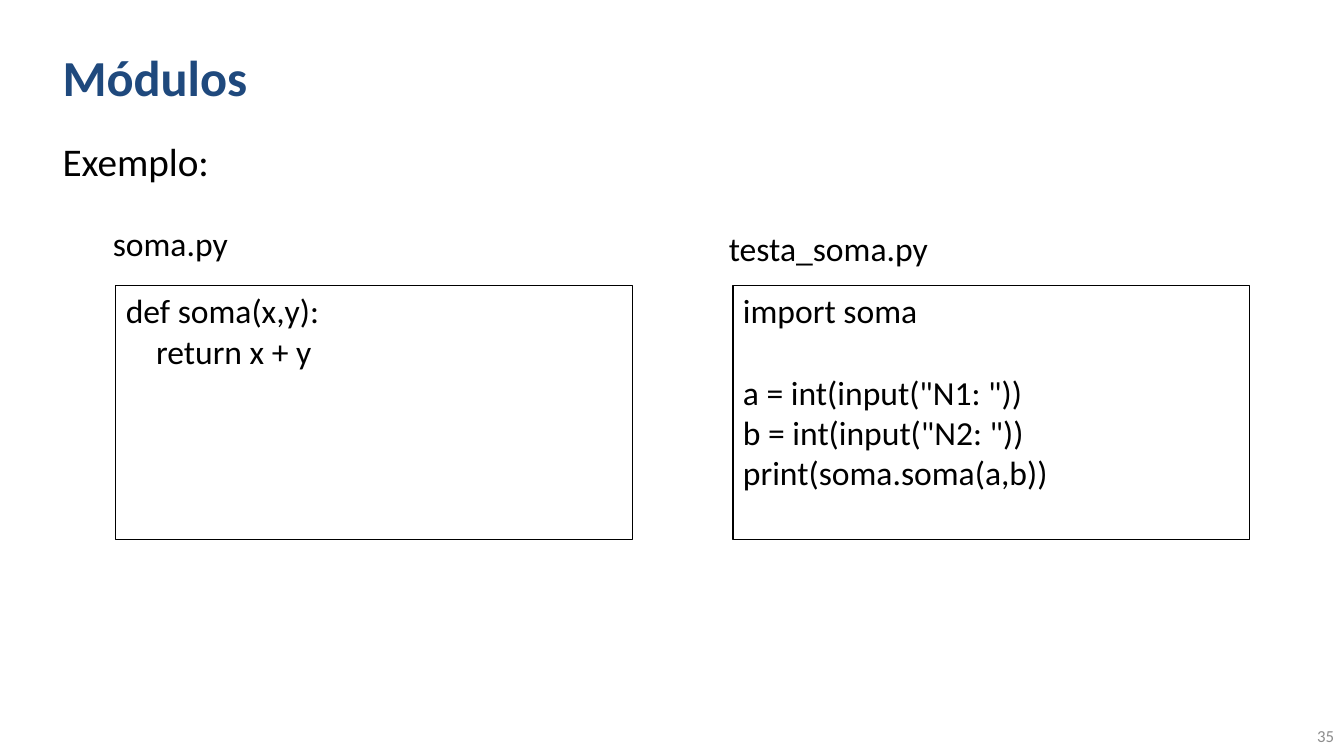
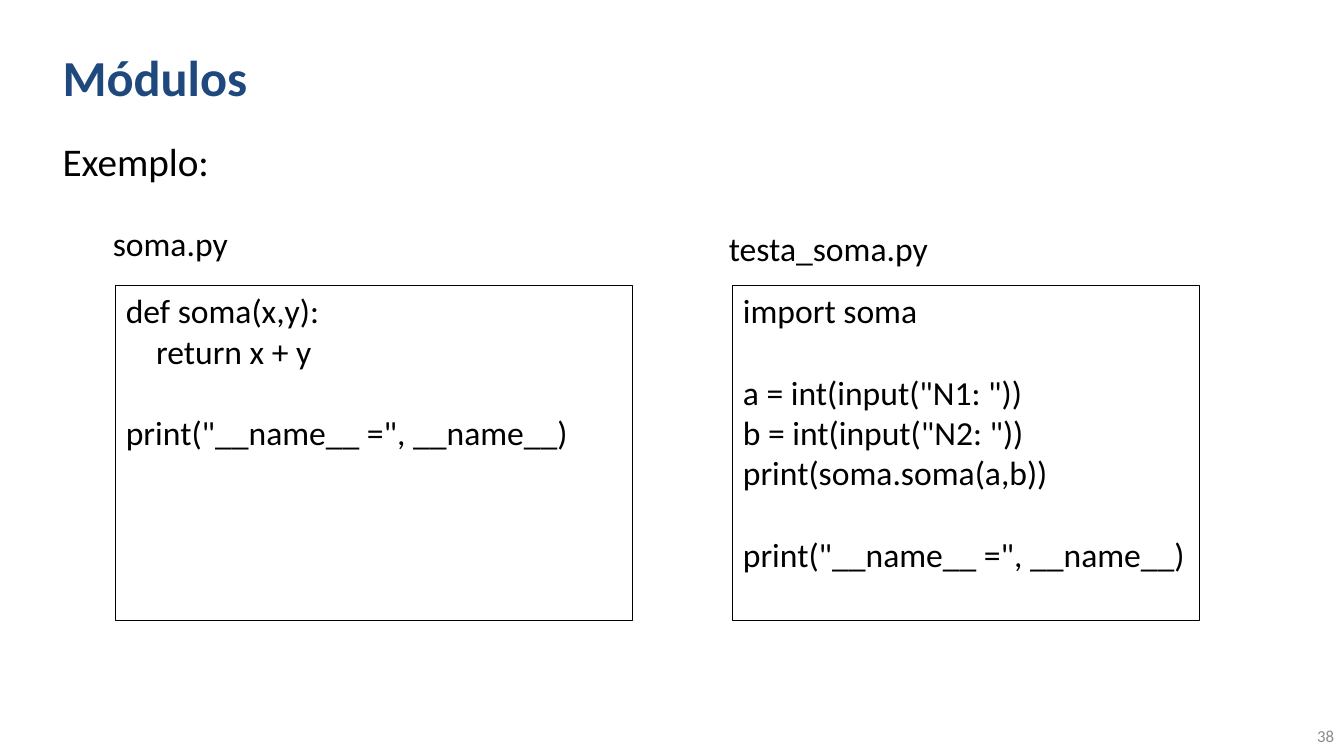
from dataclasses import dataclass

from pptx import Presentation
from pptx.dml.color import RGBColor as RGB
from pptx.enum.shapes import MSO_SHAPE as SHAPE
from pptx.enum.text import MSO_ANCHOR as ANCHOR, PP_ALIGN as ALIGN
from pptx.oxml.ns import qn
from pptx.util import Inches, Pt


@dataclass(frozen=True)
class Theme:
    font: str = "Calibri"
    title: RGB = RGB(0x1F, 0x49, 0x7D)
    text: RGB = RGB(0, 0, 0)
    muted: RGB = RGB(0x8C, 0x8C, 0x8C)
    title_size: int = 36
    body_size: int = 28
    code_size: int = 24
    number_size: int = 12
    line_spacing: float = 1.22
    indent: float = 0.3
    border: float = 0.75


T = Theme()
WIDTH, HEIGHT = 13.33, 7.5
TITLE_BOX = (0.52, 0.13, 10.58, 1.25)
BODY_BOX = (0.52, 1.31, 12.2, 1.23)
NUMBER_BOX = (WIDTH - 2.33, HEIGHT - 0.4, 2.33, 0.4)
CODE_LEFTS = (1.15, 7.27)
CODE_TOP = 2.83
LABELS = [
    ("soma.py", (1.02, 2.16, 1.35, 0.5)),
    ("testa_soma.py", (7.13, 2.21, 2.19, 0.5)),
]

SOMA = """def soma(x,y):
    return x + y"""
TEST = """import soma

a = int(input("N1: "))
b = int(input("N2: "))
print(soma.soma(a,b))"""
SHOW_NAME = """

print("__name__ =", __name__)"""

SLIDES = [
    {"number": 35, "height": 2.52, "widths": (5.12, 5.12),
     "code": (SOMA, TEST)},
    {"number": 38, "height": 3.33, "widths": (5.12, 4.63),
     "code": (SOMA + SHOW_NAME, TEST + SHOW_NAME)},
]


def style(p, size, color=T.text, bold=False, align=ALIGN.LEFT):
    p.alignment = align
    p.font.name = T.font
    p.font.size = Pt(size)
    p.font.color.rgb = color
    p.font.bold = bold


def place(sp, box):
    sp.left, sp.top, sp.width, sp.height = map(Inches, box)


def no_bullet(p):
    pPr = p._p.get_or_add_pPr()
    pPr.set("marL", "0")
    pPr.set("indent", "0")
    pPr.insert_element_before(pPr.makeelement(qn("a:buNone"), {}),
                              "a:tabLst", "a:defRPr", "a:extLst")


def add_text(s, box, text, size, **look):
    tf = s.shapes.add_textbox(*map(Inches, box)).text_frame
    tf.word_wrap = False
    p = tf.paragraphs[0]
    p.text = text
    style(p, size, **look)
    return tf


def add_code(s, box, code):
    sp = s.shapes.add_shape(SHAPE.RECTANGLE, *map(Inches, box))
    sp.shadow.inherit = False
    sp.fill.background()
    sp.line.color.rgb = T.text
    sp.line.width = Pt(T.border)
    tf = sp.text_frame
    tf.word_wrap = True
    tf.vertical_anchor = ANCHOR.TOP
    gap, p = False, None
    for line in code.splitlines():
        if not line:
            gap = True
            continue
        p = tf.add_paragraph() if p else tf.paragraphs[0]
        p.text = line.strip()
        style(p, T.code_size)
        if gap:
            p.space_before = Pt(round(T.code_size * T.line_spacing, 1))
        if line.startswith(" "):
            p._p.get_or_add_pPr().set("marL", str(Inches(T.indent)))
        gap = False


def add_slide(prs, layout, content):
    s = prs.slides.add_slide(layout)
    s.shapes.title.text = "Módulos"
    style(s.shapes.title.text_frame.paragraphs[0], T.title_size, T.title, True)
    body = s.placeholders[1]
    body.text = "Exemplo:"
    p = body.text_frame.paragraphs[0]
    style(p, T.body_size)
    no_bullet(p)

    number = add_text(s, NUMBER_BOX, str(content["number"]), T.number_size,
                      color=T.muted, align=ALIGN.RIGHT)
    number.word_wrap = True
    number.vertical_anchor = ANCHOR.MIDDLE
    for left, width, code, (name, label_box) in zip(
            CODE_LEFTS, content["widths"], content["code"], LABELS):
        add_code(s, (left, CODE_TOP, width, content["height"]), code)
        add_text(s, label_box, name, T.code_size)


def main():
    prs = Presentation()
    prs.slide_width, prs.slide_height = Inches(WIDTH), Inches(HEIGHT)
    layout = prs.slide_layouts[1]
    for sp, box in zip(layout.placeholders, (TITLE_BOX, BODY_BOX)):
        place(sp, box)
    for content in SLIDES:
        add_slide(prs, layout, content)
    prs.save("out.pptx")


if __name__ == "__main__":
    main()
